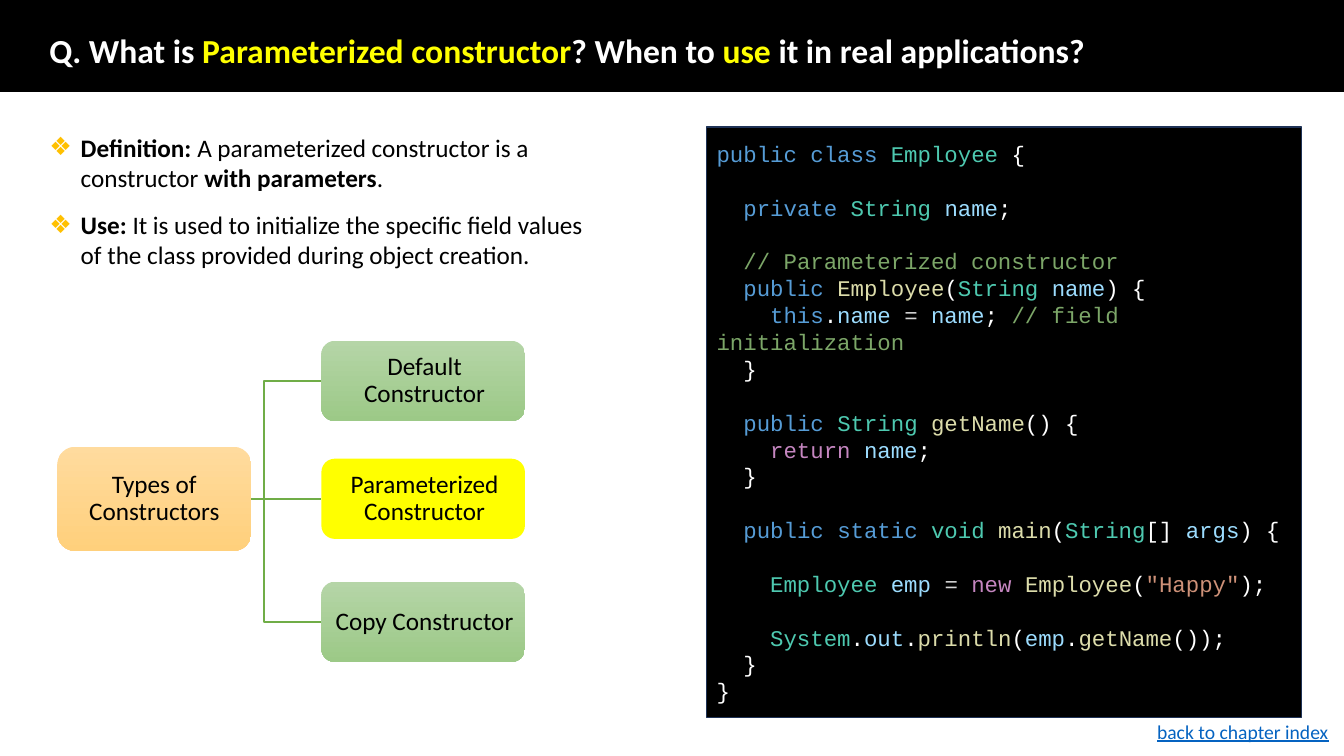
from lxml.etree import SubElement
from pptx import Presentation
from pptx.dml.color import RGBColor
from pptx.enum.shapes import MSO_CONNECTOR as Link, MSO_SHAPE as Shape
from pptx.enum.text import MSO_ANCHOR as Anchor, MSO_AUTO_SIZE as AutoSize, PP_ALIGN as Align
from pptx.oxml.ns import qn
from pptx.util import Cm, Pt

BLACK = RGBColor(0x00, 0x00, 0x00)
WHITE = RGBColor(0xFF, 0xFF, 0xFF)
YELLOW = RGBColor(0xFF, 0xFF, 0x00)
GOLD = RGBColor(0xFF, 0xC0, 0x00)
NAVY = RGBColor(0x1E, 0x32, 0x56)
BRANCH_GREEN = RGBColor(0x70, 0xAD, 0x47)
LINK_BLUE = RGBColor(0x05, 0x63, 0xC1)
ORANGES = RGBColor(0xFF, 0xDB, 0x9E), RGBColor(0xFF, 0xD0, 0x7C)
GREENS = RGBColor(0xB5, 0xD5, 0xA7), RGBColor(0x9C, 0xC9, 0x87)

# Syntax colours, by the letter that opens a marked token
SYNTAX = {
    "k": RGBColor(0x56, 0x9C, 0xD6),  # keyword
    "t": RGBColor(0x4E, 0xC9, 0xB0),  # type
    "v": RGBColor(0x9C, 0xDC, 0xFE),  # variable
    "f": RGBColor(0xDC, 0xDC, 0xAA),  # function
    "c": RGBColor(0x7C, 0xA6, 0x68),  # comment
    "o": RGBColor(0xD4, 0xD4, 0xD4),  # operator
    "x": RGBColor(0xC5, 0x86, 0xC0),  # control word
    "s": RGBColor(0xCE, 0x91, 0x78),  # string
}

# Tokens between backticks are coloured; the rest is white
CODE = """\
`kpublic` `kclass` `tEmployee` {

  `kprivate` `tString` `vname`;

  `c// Parameterized constructor`
  `kpublic` `fEmployee`(`tString` `vname`) {
    `kthis`.`vname` `o=` `vname`; `c// field initialization`
  }

  `kpublic` `tString` `fgetName`() {
    `xreturn` `vname`;
  }

  `kpublic` `kstatic` `tvoid` `fmain`(`tString`[] `vargs`) {

    `tEmployee` `vemp` `o=` `xnew` `fEmployee`(`s"Happy"`);

    `tSystem`.`vout`.`fprintln`(`vemp`.`fgetName`());
  }
}"""

TITLE = [("Q. What is ", WHITE), ("Parameterized constructor", YELLOW),
         ("? When to ", WHITE), ("use", YELLOW),
         (" it in real applications?", WHITE)]
POINTS = [
    [("Definition: ", True), ("A parameterized constructor is a constructor ", False),
     ("with parameters", True), (".", False)],
    [("Use: ", True), ("It is used to initialize the specific field values of the "
                       "class provided during object creation.", False)],
]
# Constructor kind, top within the diagram in cm, fill colours
KINDS = [("Default Constructor", 0, GREENS),
         ("Parameterized Constructor", 2.97, (YELLOW,)),
         ("Copy Constructor", 6.07, GREENS)]


def apply(target, values):
    for name, value in values.items():
        setattr(target, name, value)


def place(shape, left, top, width, height):
    apply(shape, {"left": Cm(left), "top": Cm(top),
                  "width": Cm(width), "height": Cm(height)})


def add_run(paragraph, text, color, size=18, font="Calibri", **extra):
    run = paragraph.add_run()
    run.text = text
    apply(run.font, {"name": font, "size": Pt(size), **extra})
    run.font.color.rgb = color


def add_block(slide, preset, box, colors):
    block = slide.shapes.add_shape(preset, *map(Cm, box))
    block.shadow.inherit = False
    block.line.fill.background()
    if len(colors) == 1:
        block.fill.solid()
        block.fill.fore_color.rgb = colors[0]
    else:
        block.fill.gradient()
        block.fill.gradient_angle = 270
        for stop, color in zip(block.fill.gradient_stops, colors):
            stop.color.rgb = color
    return block


def style_line(line, color):
    line.color.rgb = color
    line.width = Pt(1)


def add_header(slide, left, top, width, height):
    bar = add_block(slide, Shape.RECTANGLE, (left, top, width, height), (BLACK,))
    style_line(bar.line, BLACK)
    title = slide.shapes.title
    bar._element.addnext(title._element)  # the title lies over the bar
    place(title, left + 0.99, top + 0.89, 29.72, 0.89)
    apply(title.text_frame, {"vertical_anchor": Anchor.MIDDLE, "word_wrap": True,
                             "auto_size": AutoSize.NONE})
    heading = title.text_frame.paragraphs[0]
    apply(heading, {"alignment": Align.LEFT, "line_spacing": 0.9})
    for text, color in TITLE:
        add_run(heading, text, color, 24, bold=True)


def add_points(slide, *box):
    body = slide.placeholders[1]
    place(body, *box)
    frame = body.text_frame
    frame.auto_size = AutoSize.NONE
    for index, parts in enumerate(POINTS):
        point = frame.add_paragraph() if index else frame.paragraphs[0]
        point.space_before = Pt(12 if index else 0)
        props = point._p.get_or_add_pPr()
        props.set("marL", str(Cm(0.79)))
        props.set("indent", str(-Cm(0.79)))
        SubElement(SubElement(props, qn("a:buClr")), qn("a:srgbClr")).set("val", str(GOLD))
        SubElement(props, qn("a:buChar")).set("char", "❖")
        for text, bold in parts:
            add_run(point, text, BLACK, bold=bold)


def add_node(slide, label, box, colors, inset):
    node = add_block(slide, Shape.ROUNDED_RECTANGLE, box, colors)
    apply(node.text_frame, {
        "word_wrap": True, "vertical_anchor": Anchor.MIDDLE, "margin_left": Cm(inset),
        "margin_right": Cm(0.03), "margin_top": Cm(0.03), "margin_bottom": Cm(0.03)})
    caption = node.text_frame.paragraphs[0]
    apply(caption, {"alignment": Align.CENTER, "line_spacing": 0.9})
    add_run(caption, label, BLACK)
    return node


def add_type_tree(slide, left, top):
    kind_left, kind_height = left + 6.65, 2.02
    middle = top + KINDS[1][1] + kind_height / 2
    stem, bend = left + 3.76, left + 5.2

    # Elbow branches to the outer kinds, behind the root
    for _, offset, _ in (KINDS[0], KINDS[-1]):
        end = top + offset + kind_height / 2
        outline = slide.shapes.build_freeform(Cm(stem), Cm(middle))
        outline.add_line_segments([(Cm(x), Cm(y)) for x, y in (
            (bend, middle), (bend, end), (kind_left, end))], close=False)
        branch = outline.convert_to_shape()
        branch.shadow.inherit = False
        branch.fill.background()
        style_line(branch.line, BRANCH_GREEN)

    # Root and the kinds
    root = add_node(slide, "Types of Constructors",
                    (left, middle - 1.31, 4.88, 2.62), ORANGES, 0.03)
    kinds = [add_node(slide, label, (kind_left, top + offset, 5.13, kind_height), colors, 0.1)
             for label, offset, colors in KINDS]

    # Straight branch to the middle kind
    branch = slide.shapes.add_connector(Link.STRAIGHT, 0, 0, 0, 0)
    branch.begin_connect(root, 3)
    branch.end_connect(kinds[1], 1)
    style_line(branch.line, BRANCH_GREEN)
    SubElement(branch._element.spPr, qn("a:effectLst"))


def add_code(slide, *box):
    panel = add_block(slide, Shape.RECTANGLE, box, (BLACK,))
    style_line(panel.line, NAVY)
    frame = panel.text_frame
    apply(frame, {"word_wrap": True, "vertical_anchor": Anchor.MIDDLE})
    listing = frame.paragraphs[0]
    listing.alignment = Align.LEFT
    for number, line in enumerate(CODE.split("\n")):
        if number:
            listing.add_line_break()
        for index, token in enumerate(line.split("`")):
            color, text = (SYNTAX[token[0]], token[1:]) if index % 2 else (WHITE, token)
            if text:
                add_run(listing, text, color, 16, "Courier New")
    # Empty lines take the size of the code
    for line_break in listing._p.findall(qn("a:br")):
        SubElement(line_break, qn("a:rPr")).set("sz", "1600")
        SubElement(line_break[0], qn("a:latin")).set("typeface", "Courier New")


def add_index_label(slide, *box):
    label = slide.shapes.add_textbox(*map(Cm, box))
    label.text_frame.word_wrap = True
    add_run(label.text_frame.paragraphs[0], "back to chapter index", LINK_BLUE, 14,
            underline=True)


def main():
    deck = Presentation()
    apply(deck, {"slide_width": Cm(33.87), "slide_height": Cm(19.05)})
    slide = deck.slides.add_slide(deck.slide_layouts[1])
    add_header(slide, 0, 0, 33.87, 2.31)
    add_type_tree(slide, 1.45, 8.59)
    add_code(slide, 17.81, 3.2, 14.99, 14.88)
    add_points(slide, 0.99, 3.2, 14.35, 3.76)
    add_index_label(slide, 28.91, 18.01, 4.95, 0.86)
    deck.save("out.pptx")


if __name__ == "__main__":
    main()
